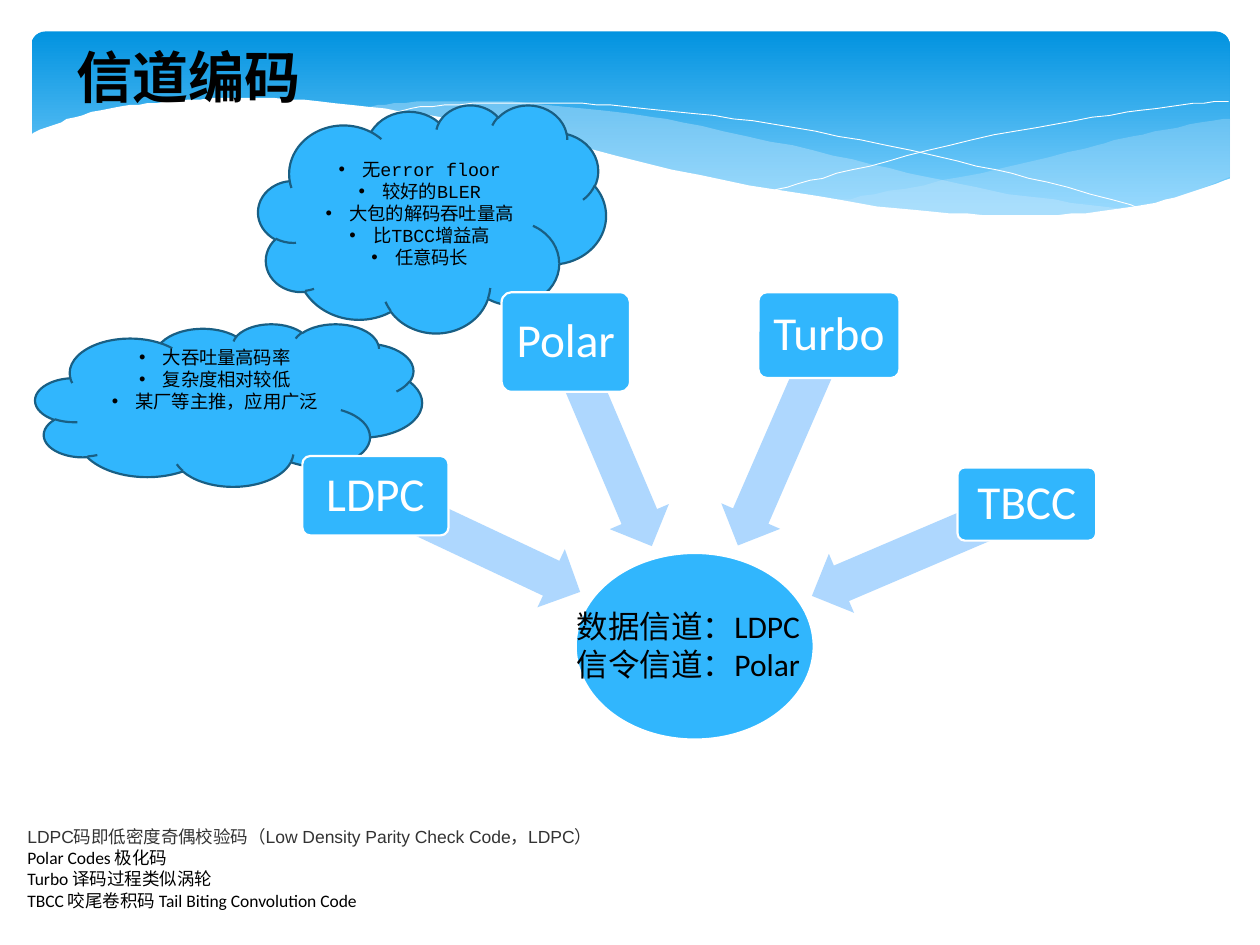
from lxml import etree
from pptx import Presentation
from pptx.dml.color import RGBColor
from pptx.enum import shapes, text
from pptx.oxml import ns
from pptx.util import Pt

BLUE = RGBColor(0x31, 0xB6, 0xFD)
NAVY = RGBColor(0x19, 0x5F, 0x84)
PALE = RGBColor(0xAE, 0xD7, 0xFE)
MIST = RGBColor(0xC6, 0xE7, 0xFC)
SKY_TOP = RGBColor(0x02, 0x93, 0xE0)
SKY_BOTTOM = RGBColor(0x83, 0xD3, 0xFE)
WHITE = RGBColor(0xFF, 0xFF, 0xFF)
BLACK = RGBColor(0, 0, 0)
GREY = RGBColor(0x33, 0x33, 0x33)
KIND = shapes.MSO_SHAPE

# Content; every length is in points
TITLE = "信道编码"
CLOUDS = [  # box, space kept free below the text, bullets
    ((147.6, 59.8, 198.7, 130.3), 3.6,
     [("无", "error floor"), ("较好的", "BLER"), ("大包的解码吞吐量高",),
      ("比", "TBCC", "增益高"), ("任意码长",)]),
    ((20.2, 185, 221, 92.9), 28.8,
     [("大吞吐量高码率",), ("复杂度相对较低",), ("某厂等主推，应用广泛",)]),
]
CODES = [  # name, box, arrow box, arrow rotation
    ("LDPC", (172.8, 260.6, 83.5, 45.4), (208.1, 292.3, 129.6, 36.7), 205.2),
    ("Polar", (286.6, 167, 73.4, 56.9), (284.4, 235.4, 126.7, 36.7), 247),
    ("Turbo", (433.4, 167, 80.6, 49), (382.3, 233.3, 131, 36.7), 293.5),
    ("TBCC", (547.2, 267.1, 79.2, 41.8), (458.6, 295.9, 133.9, 36.7), 336.9),
]
RESULT_OVAL = (329, 316, 136, 106.6)
RESULT_BOX = (322.6, 343.4, 146.2, 51.1)
RESULT = ["数据信道：LDPC", "信令信道：Polar"]
NOTES_BOX = (8.6, 468.7, 361.4, 55.4)
NOTES = [
    ("LDPC码即低密度奇偶校验码（Low Density Parity Check Code，LDPC）", "Arial", GREY),
    ("Polar\u00a0Codes 极化码", "Calibri", BLACK),
    ("Turbo 译码过程类似涡轮", "Calibri", BLACK),
    ("TBCC 咬尾卷积码 Tail Biting Convolution Code", "Calibri", BLACK),
]

# Header waves: each outline is a chain of smooth curves through knots
RIGHT_WAVE = [
    [(702.7, 67.5), (673, 72.7), (641.5, 79.2), (620, 85), (561, 98.6),
     (508.3, 109.4), (476, 115.2)],
    [(476, 115.2), (517.7, 120.2), (562.3, 123.8), (601.2, 123.8),
     (634.3, 120.2), (668, 113.8), (702.7, 101.5)],
]
LONG_WAVE = [
    [(206, 62), (225.4, 59), (260, 57.6), (302.4, 59), (352, 64), (389.5, 69.8),
     (453, 83.5), (508.3, 96.5), (558, 107.3), (602.6, 114.5), (643, 120.2)],
    [(643, 120.2), (617, 123.1), (589, 124.6), (556.6, 123.8), (519.8, 121),
     (478.8, 115.9), (432.7, 108), (381.6, 97.2), (323.3, 83.5),
     (275.8, 72.7), (246.2, 67.7), (206, 62)],
]
FALLING_LINE = [[(222.5, 64.8), (240.5, 61.2), (278.6, 59), (324, 59), (367.2, 62),
                 (419, 67.7), (478.8, 77.8), (547.2, 92.2), (598.3, 104.4),
                 (653, 119.5)]]
RISING_LINE = [[(441.4, 108.7), (470, 101.5), (518.4, 89.3), (580.3, 74.9),
                (634.3, 65.5), (675.4, 59.8), (702, 57.6)]]
LOWER_EDGE = [
    [(703.4, 101.5), (676.8, 110.9), (648, 118.1), (612, 122.4), (571, 123.1),
     (522.7, 120.2), (466.6, 112.3), (399.6, 100), (322, 82), (262.8, 69.1),
     (210.2, 61.2), (165.6, 56.9), (127.4, 56.2), (95, 58.3), (68.4, 61.2),
     (42.5, 67), (25.9, 73.4), (16.6, 77)],
    [(16.6, 77), (16.6, 161)],
    [(16.6, 161), (703.4, 161)],
]


def smooth(knots, steps=5):
    """Catmull-Rom points through the knots."""
    padded = [knots[0], *knots, knots[-1]]
    points = [knots[0]]
    for a, b, c, d in zip(padded, padded[1:], padded[2:], padded[3:]):
        for step in range(1, steps + 1):
            t = step / steps
            points.append(tuple(
                (2 * q + (r - p) * t + (2 * p - 5 * q + 4 * r - s) * t ** 2
                 + (3 * q - p - 3 * r + s) * t ** 3) / 2
                for p, q, r, s in zip(a, b, c, d)))
    return points


def paint(shape, fill=None, line=None, width=1.25):
    shape.shadow.inherit = False
    if fill is None:
        shape.fill.background()
    else:
        shape.fill.solid()
        shape.fill.fore_color.rgb = fill
    if line is None:
        shape.line.fill.background()
    else:
        shape.line.color.rgb = line
        shape.line.width = Pt(width)


def add_wave(slide, curves, fill=None, line=None, opacity=100):
    points = [point for curve in curves for point in smooth(curve)]
    builder = slide.shapes.build_freeform(*points[0], scale=Pt(1))
    builder.add_line_segments(points[1:], close=fill is not None)
    wave = builder.convert_to_shape()
    paint(wave, fill, line, 0.5)
    if opacity < 100:
        color = wave.fill._xPr.find(ns.qn("a:solidFill"))[0]
        etree.SubElement(color, ns.qn("a:alpha"), val=str(opacity * 1000))


def add_figure(slide, kind, box, fill, line=None):
    figure = slide.shapes.add_shape(kind, *map(Pt, box))
    paint(figure, fill, line)
    return figure


def add_run(paragraph, words, size, font, color, bold=False):
    run = paragraph.add_run()
    run.text = words
    run.font.size, run.font.name, run.font.bold = Pt(size), font, bold
    run.font.color.rgb = color


def add_lines(frame, lines, size, align=text.PP_ALIGN.LEFT):
    """Each line is (pieces, font, color)."""
    for i, (pieces, font, color) in enumerate(lines):
        paragraph = frame.add_paragraph() if i else frame.paragraphs[0]
        paragraph.alignment = align
        for piece in pieces:
            add_run(paragraph, piece, size, font, color)


def add_bullet(paragraph):
    props = paragraph._p.get_or_add_pPr()
    props.set("marL", str(Pt(13.5)))
    props.set("indent", str(Pt(-13.5)))
    etree.SubElement(props, ns.qn("a:buFont"), typeface="Arial")
    etree.SubElement(props, ns.qn("a:buChar"), char="•")


def add_header(slide):
    banner = add_figure(slide, KIND.ROUNDED_RECTANGLE, (18, 18, 684.7, 112.3), SKY_TOP)
    banner.adjustments[0] = 0.07
    banner.fill.gradient()
    banner.fill.gradient_angle = 270
    for stop, color, position in zip(banner.fill.gradient_stops,
                                     (SKY_TOP, SKY_BOTTOM), (0, 0.9)):
        stop.color.rgb = color
        stop.position = position
    add_wave(slide, RIGHT_WAVE, MIST, opacity=29)
    add_wave(slide, LONG_WAVE, MIST, opacity=40)
    add_wave(slide, FALLING_LINE, line=WHITE)
    add_wave(slide, RISING_LINE, line=WHITE)
    add_wave(slide, LOWER_EDGE, WHITE)

    # Title, brought in front of the banner
    title = slide.shapes.title
    slide.shapes._spTree.append(title._element)
    title.left, title.top, title.width, title.height = map(Pt, (36.7, 20.9, 618.5, 46.1))
    frame = title.text_frame
    frame.auto_size = text.MSO_AUTO_SIZE.NONE
    frame.vertical_anchor = text.MSO_ANCHOR.TOP
    frame.paragraphs[0].alignment = text.PP_ALIGN.LEFT
    add_run(frame.paragraphs[0], TITLE, 32, "Arial", BLACK, bold=True)


def add_text(slide, box, lines, size, wrap):
    frame = slide.shapes.add_textbox(*map(Pt, box)).text_frame
    frame.word_wrap = wrap
    add_lines(frame, lines, size)


def main():
    deck = Presentation()
    deck.slide_width, deck.slide_height = Pt(720), Pt(540)
    slide = deck.slides.add_slide(deck.slide_layouts[5])
    add_header(slide)

    # Clouds with the strengths of two codes
    for box, bottom, bullets in CLOUDS:
        frame = add_figure(slide, KIND.CLOUD, box, BLUE, NAVY).text_frame
        frame.vertical_anchor = text.MSO_ANCHOR.MIDDLE
        frame.margin_bottom = Pt(bottom)
        add_lines(frame, [(pieces, "Courier New", BLACK) for pieces in bullets],
                  10.5, text.PP_ALIGN.CENTER)
        for paragraph in frame.paragraphs:
            add_bullet(paragraph)

    add_text(slide, NOTES_BOX, [([words], font, color) for words, font, color in NOTES],
             10, True)

    # Codes pointing at the result
    add_figure(slide, KIND.OVAL, RESULT_OVAL, BLUE, WHITE)
    for name, box, arrow_box, rotation in CODES:
        arrow = add_figure(slide, KIND.LEFT_ARROW, arrow_box, PALE)
        arrow.adjustments[0] = 0.6
        arrow.rotation = rotation
        code = add_figure(slide, KIND.ROUNDED_RECTANGLE, box, BLUE, WHITE)
        code.adjustments[0] = 0.1
        frame = code.text_frame
        frame.word_wrap = False
        frame.vertical_anchor = text.MSO_ANCHOR.MIDDLE
        add_lines(frame, [([name], "Calibri", WHITE)], 27, text.PP_ALIGN.CENTER)
        frame.paragraphs[0].line_spacing = 0.9
    add_text(slide, RESULT_BOX, [([words], "Calibri", BLACK) for words in RESULT], 18, False)

    deck.save("out.pptx")


if __name__ == "__main__":
    main()
